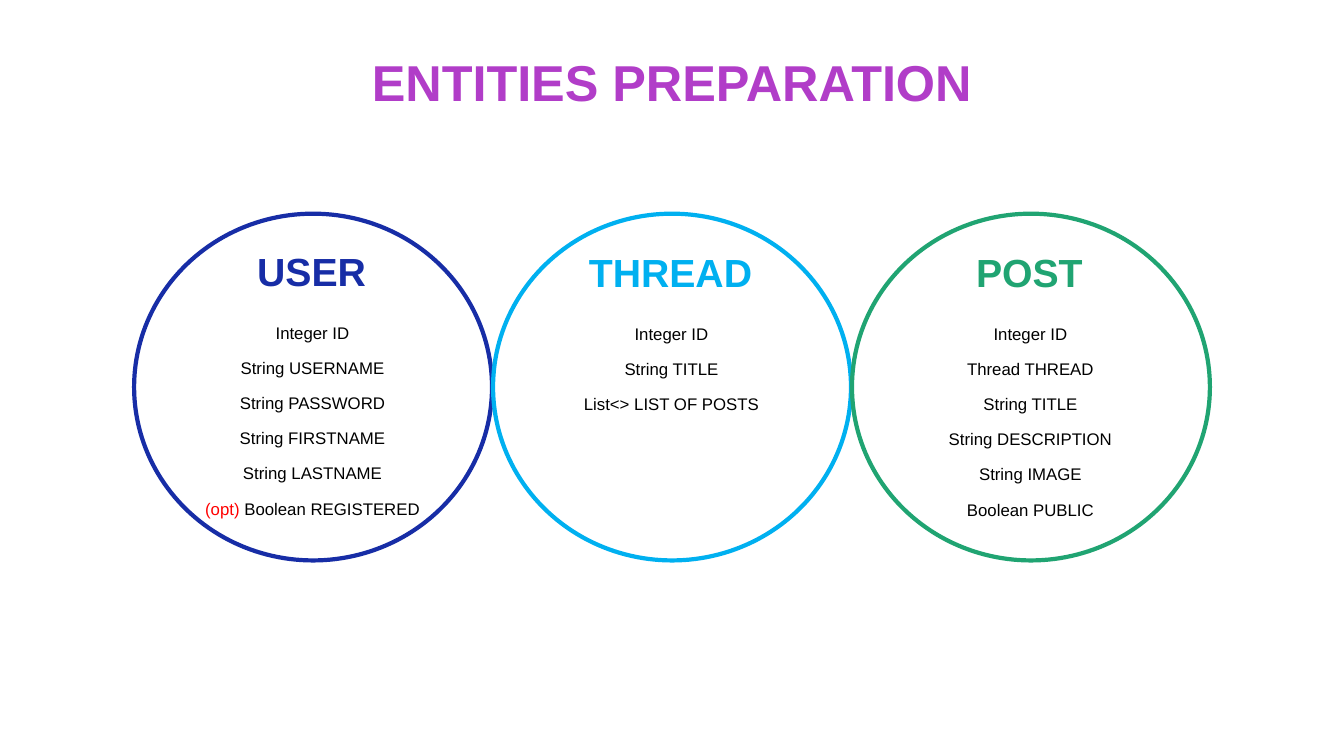
from dataclasses import dataclass
from pptx import Presentation
from pptx import util as u
from pptx.dml.color import RGBColor
from pptx.enum import shapes, text

SCALE = 9144  # EMU per px, 100 px to the inch


@dataclass(frozen=True)
class Theme:
    font: str = "Arial"
    title: str = "B13DC8"
    user: str = "172DA6"
    thread: str = "00B0F0"
    post: str = "20A472"
    ink: str = "000000"
    optional: str = "FF0000"
    title_size: int = 36
    heading_size: int = 28
    field_size: int = 12


theme = Theme()


def place(left, top, width, height):
    return [u.Emu(length * SCALE) for length in (left, top, width, height)]


def add_line(para, spans, size, bold, spacing):
    para.alignment = text.PP_ALIGN.CENTER
    para.line_spacing = spacing
    para.space_before = u.Pt(10)
    for words, color in spans:
        span = para.add_run()
        span.text = words
        span.font.name = theme.font
        span.font.size = u.Pt(size)
        span.font.bold = bold
        span.font.color.rgb = RGBColor.from_string(color)


deck = Presentation()
deck.slide_width, deck.slide_height = place(0, 0, 1333, 750)[2:]
page = deck.slides.add_slide(deck.slide_layouts[5])

# Title
title = page.shapes.title
title.left, title.top, title.width, title.height = place(25, 50, 1283, 69)
title.text_frame.vertical_anchor = text.MSO_ANCHOR.MIDDLE
add_line(title.text_frame.paragraphs[0], [("ENTITIES PREPARATION", theme.title)],
         theme.title_size, True, 0.9)

# Entities: name, colour, text top, fields
entities = [
    ("USER", theme.user, 255,
     ["Integer ID", "String USERNAME", "String PASSWORD", "String FIRSTNAME",
      "String LASTNAME", "(opt) Boolean REGISTERED"]),
    ("THREAD", theme.thread, 256,
     ["Integer ID", "String TITLE", "List<> LIST OF POSTS"]),
    ("POST", theme.post, 256,
     ["Integer ID", "Thread THREAD", "String TITLE", "String DESCRIPTION",
      "String IMAGE", "Boolean PUBLIC"]),
]
for column, (name, color, top, fields) in enumerate(entities):
    left = 133 + 356 * column

    # Ring
    ring = page.shapes.add_shape(shapes.MSO_SHAPE.OVAL, *place(left, 212, 355, 344))
    ring.shadow.inherit = False
    ring.fill.background()
    ring.line.color.rgb = RGBColor.from_string(color)
    ring.line.width = u.Pt(3)

    # Heading
    heading = page.shapes.add_textbox(*place(left + 58, top, 236, 33)).text_frame
    heading.word_wrap = True
    heading.vertical_anchor = text.MSO_ANCHOR.MIDDLE
    add_line(heading.paragraphs[0], [(name, color)], theme.heading_size, True, 0.9)

    # Fields
    box = page.shapes.add_textbox(*place(left + 58, top + 59, 238, 177)).text_frame
    box.word_wrap = True
    for row, field in enumerate(fields):
        para = box.paragraphs[0] if row == 0 else box.add_paragraph()
        mark, optional, rest = field.rpartition("(opt) ")
        spans = [(optional, theme.optional)] if optional else []
        add_line(para, spans + [(rest, theme.ink)], theme.field_size, False, 1.05)

deck.save("out.pptx")
